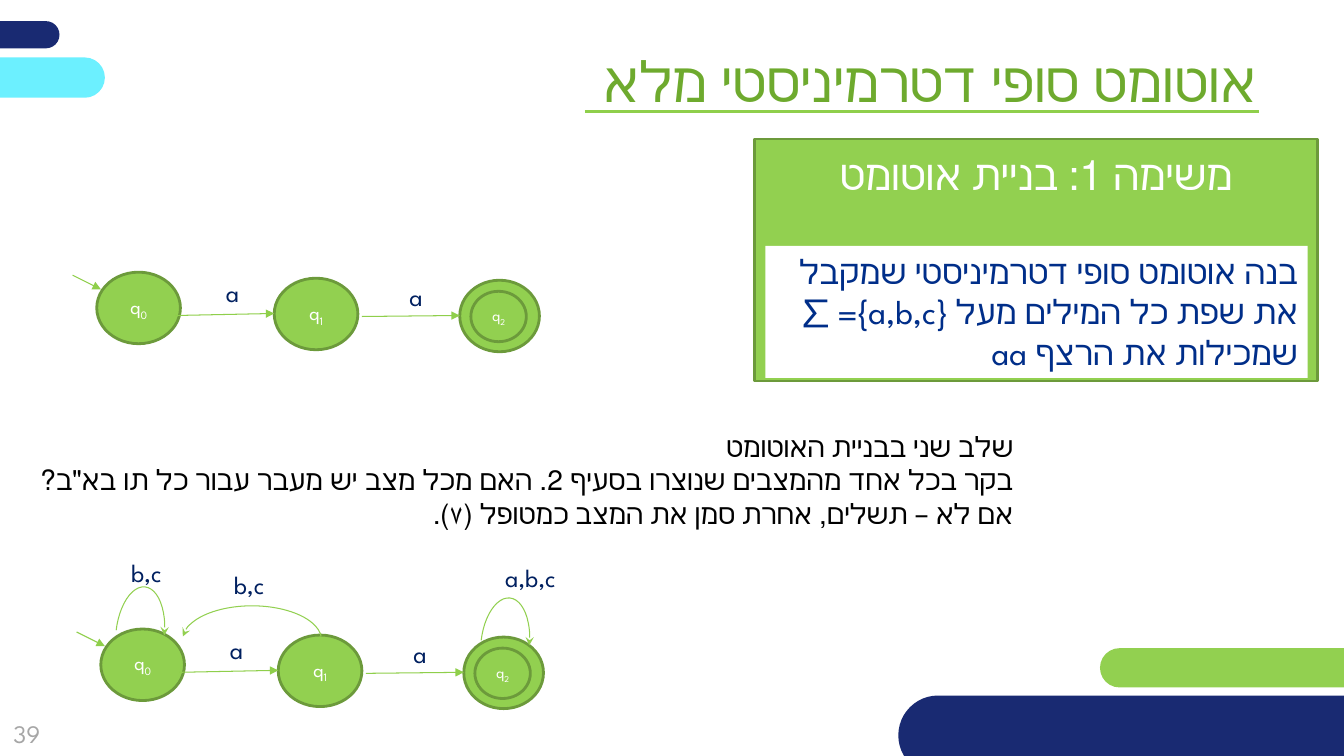
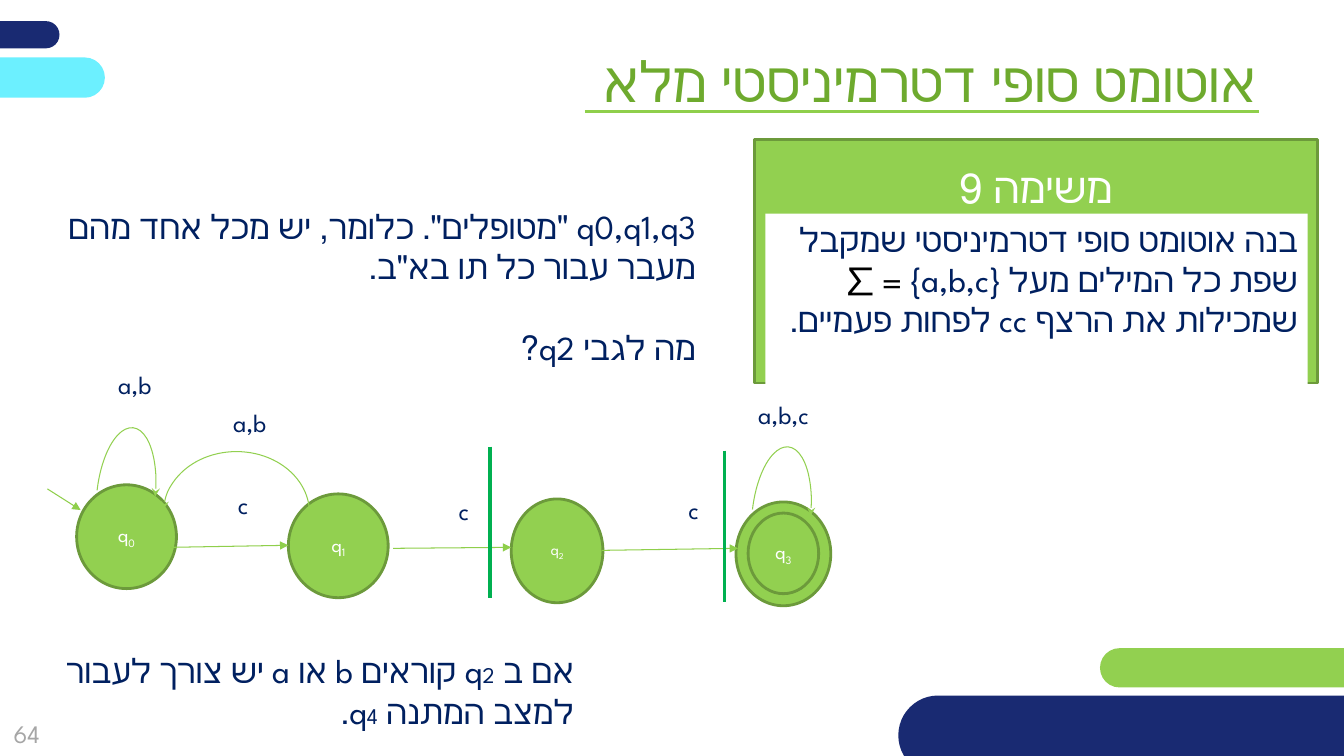
from dataclasses import dataclass

from pptx import Presentation
from pptx.dml.color import RGBColor
from pptx.enum.shapes import MSO_CONNECTOR, MSO_SHAPE
from pptx.enum.text import MSO_ANCHOR, PP_ALIGN
from pptx.oxml.xmlchemy import OxmlElement
from pptx.util import Inches, Pt

STRAIGHT = MSO_CONNECTOR.STRAIGHT
RECTANGLE, ROUNDED = MSO_SHAPE.RECTANGLE, MSO_SHAPE.ROUNDED_RECTANGLE
OVAL, ARC = MSO_SHAPE.OVAL, MSO_SHAPE.ARC
TOP, MIDDLE = MSO_ANCHOR.TOP, MSO_ANCHOR.MIDDLE
CENTER, RIGHT, JUSTIFY = PP_ALIGN.CENTER, PP_ALIGN.RIGHT, PP_ALIGN.JUSTIFY


@dataclass(frozen=True)
class Theme:
    font: str = "League Spartan"
    navy: str = "192A72"
    cyan: str = "6CF0FF"
    green: str = "92D050"
    border: str = "6C9A3B"
    rule: str = "8FCF4B"
    divider: str = "00B050"
    title: str = "6EAA2E"
    text: str = "002060"
    task: str = "002E89"
    grey: str = "A6A6A6"
    white: str = "FFFFFF"
    black: str = "000000"
    title_size: int = 40
    heading_size: int = 30
    body_size: int = 24
    step_size: int = 20
    label_size: int = 18
    index_size: int = 16
    state_size: int = 14
    small_state_size: int = 11


theme = Theme()


def write(shape, paragraphs, size, color, alignment=RIGHT, anchor=TOP, gap=0, rtl=True, **frame_format):
    """Fill a shape with paragraphs, each a list of (text, overrides) runs."""
    frame = shape.text_frame
    frame_format = {"word_wrap": True, "vertical_anchor": anchor, **frame_format}
    for name, value in frame_format.items():
        setattr(frame, name, value)
    for number, runs in enumerate(paragraphs):
        paragraph = frame.add_paragraph() if number else frame.paragraphs[0]
        paragraph.alignment = alignment
        if rtl:
            paragraph._p.get_or_add_pPr().set("rtl", "1")
        if number and gap:
            paragraph.space_before = Pt(gap)
        for text, overrides in runs:
            run = paragraph.add_run()
            run.text = text
            run_format = {"size": size, "color": color, **overrides}
            run.font.name = theme.font
            run.font.size = Pt(run_format["size"])
            run.font.color.rgb = RGBColor.from_string(run_format["color"])
            if "baseline" in run_format:
                run._r.get_or_add_rPr().set("baseline", run_format["baseline"])


def outline(shape, color=None, width=0.75, end=None, kind="triangle"):
    """Set the line of a shape or connector, add an arrowhead, drop the shadow."""
    if color is None:
        shape.line.fill.background()
    else:
        shape.line.color.rgb = RGBColor.from_string(color)
        shape.line.width = Pt(width)
    if end:
        arrowhead = OxmlElement(f"a:{end}")
        arrowhead.set("type", kind)
        shape.line._get_or_add_ln().append(arrowhead)
    shape._element.spPr.append(OxmlElement("a:effectLst"))


# Shared parts: left, top, width, height, colour
bands = [
    (-2.66, 0.21, 3.25, 0.27, theme.navy),
    (10.91, 6.43, 5.21, 0.39, theme.green),
    (-2.21, 0.57, 3.25, 0.4, theme.cyan),
    (8.91, 6.9, 5.66, 0.79, theme.navy),
]
title_text = "אוטומט סופי דטרמיניסטי מלא"

# The three-state automaton, drawn twice on the first slide
small_states = [
    ((0.96, 2.7, 0.83, 0.71), "0", theme.state_size),
    ((2.72, 2.76, 0.83, 0.71), "1", theme.state_size),
    ((4.56, 2.78, 0.79, 0.71), "", theme.state_size),
    ((4.67, 2.89, 0.55, 0.5), "2", theme.small_state_size),
]
small_arrows = [
    (0.72, 2.73, 1, 2.87),
    (1.74, 3.13, 2.72, 3.11),
    (3.59, 3.14, 4.56, 3.13),
]
small_labels = [("a", (3.77, 2.74, 0.52, 0.4)), ("a", (2.08, 2.7, 0.39, 0.4))]
copies = [(0, 0), (0.04, 3.54)]

# Arcs hold the box of the whole ellipse, its rotation and the arrow end
slides = [
    {
        "number": "39",
        "heading": "משימה 1: בניית אוטומט",
        "heading_box": (7.48, 1.38, 5.59, 2.4),
        "heading_inset": 0.09,
        "task_box": (7.59, 2.44, 5.38, 1.31),
        "task": [("בנה אוטומט סופי דטרמיניסטי שמקבל את שפת כל המילים מעל "
                  "{a,b,c}= ∑ שמכילות את הרצף aa", {"color": theme.task})],
        "notes": [
            {
                "box": (0.3, 4.21, 9.85, 1.11),
                "size": theme.step_size,
                "color": theme.black,
                "alignment": JUSTIFY,
                "paragraphs": [
                    [("שלב שני בבניית האוטומט", {})],
                    [("בקר בכל אחד מהמצבים שנוצרו בסעיף 2. האם מכל מצב יש מעבר "
                      "עבור כל תו בא\"ב? אם לא – תשלים, אחרת סמן את המצב "
                      "כמטופל (٧).", {})],
                ],
            },
        ],
        "copies": copies,
        "states": small_states,
        "arrows": small_arrows,
        "repeated_labels": small_labels,
        "labels": [
            ("b,c", (1.03, 5.48, 0.67, 0.4)),
            ("b,c", (2.05, 5.6, 0.67, 0.4)),
            ("a,b,c", (4.63, 5.53, 0.98, 0.4)),
        ],
        "arcs": [
            ((1.15, 5.82, 0.48, 0.94), 6, "tailEnd"),
            ((1.81, 6.01, 1.38, 0.68), 0, "headEnd"),
            ((4.77, 5.93, 0.48, 0.92), 6, "tailEnd"),
        ],
        "dividers": [],
    },
    {
        "number": "64",
        "heading": "משימה 9",
        "heading_box": (7.48, 1.38, 5.59, 2.42),
        "heading_inset": 0.22,
        "task_box": (7.59, 2.12, 5.38, 1.72),
        "task": [
            ("בנה אוטומט סופי דטרמיניסטי שמקבל שפת כל המילים מעל {a,b,c} ", {}),
            ("= ∑ ", {"color": theme.black}),
            ("שמכילות את הרצף cc לפחות פעמיים.", {}),
        ],
        "notes": [
            {
                "box": (0.36, 1.99, 6.64, 2.05),
                "gap": 29,
                "paragraphs": [
                    [("q0,q1,q3 \"מטופלים\". כלומר, יש מכל אחד מהם מעבר עבור "
                      "כל תו בא\"ב.", {})],
                    [("מה לגבי q2?", {})],
                ],
            },
            {
                "box": (0.13, 6.4, 5.66, 0.91),
                "paragraphs": [[
                    ("אם ב q", {}),
                    ("2", {"size": theme.index_size}),
                    (" קוראים b או a יש צורך לעבור למצב המתנה q", {}),
                    ("4", {"size": theme.index_size}),
                    (".", {}),
                ]],
            },
        ],
        "copies": copies[:1],
        "states": [
            ((7.3, 4.98, 0.94, 1.03), "", theme.state_size),
            ((0.76, 4.81, 0.99, 1.03), "0", theme.state_size),
            ((2.86, 4.9, 0.99, 1.03), "1", theme.state_size),
            ((5.07, 4.95, 0.91, 1.03), "2", theme.small_state_size),
            ((7.42, 5.09, 0.7, 0.8), "3", theme.state_size),
        ],
        "arrows": [
            (0.47, 4.85, 0.8, 5.06),
            (1.69, 5.43, 2.86, 5.41),
            (3.9, 5.44, 5.07, 5.43),
            (5.97, 5.46, 7.32, 5.44),
        ],
        "repeated_labels": [],
        "labels": [
            ("c", (2.09, 4.81, 0.47, 0.58)),
            ("c", (4.12, 4.86, 0.63, 0.58)),
            ("c", (6.27, 4.85, 0.76, 0.58)),
            ("a,b", (0.22, 3.61, 1.38, 0.58)),
            ("a,b", (1.36, 3.99, 1.38, 0.58)),
            ("a,b,c", (6.74, 3.91, 1.38, 0.58)),
        ],
        "arcs": [
            ((0.96, 4.24, 0.58, 1.34), 6, "tailEnd"),
            ((1.62, 4.48, 1.45, 1.22), 0, "headEnd"),
            ((7.46, 4.43, 0.58, 1.34), 6, "tailEnd"),
        ],
        "dividers": [(4.86, 4.43, 4.86, 5.93), (7.19, 4.47, 7.19, 5.97)],
    },
]

presentation = Presentation()
presentation.slide_width = Inches(13.33)
presentation.slide_height = Inches(7.5)
layout = presentation.slide_layouts[5]

for position, content in enumerate(slides):
    slide = presentation.slides.add_slide(layout)
    shapes = slide.shapes

    # Bands and title rule go to the layout once
    if position == 0:
        shared = []
        for *box, color in bands:
            band = shapes.add_shape(ROUNDED, *map(Inches, box))
            band.adjustments[0] = 0.5
            band.fill.solid()
            band.fill.fore_color.rgb = RGBColor.from_string(color)
            outline(band)
            shared.append(band)
        title_rule = shapes.add_connector(STRAIGHT, *map(Inches, (5.8, 1.11, 12.49, 1.11)))
        outline(title_rule, theme.rule, 2.25)
        shared.append(title_rule)
        for shape in shared:
            layout.shapes._spTree.append(shape._element)

    # Title and page number
    title = shapes.title
    title.left, title.top, title.width, title.height = map(Inches, (4.4, 0.41, 8.16, 0.77))
    write(title, [[(title_text, {})]], theme.title_size, theme.title)
    page_number = shapes.add_textbox(*map(Inches, (-0.18, 6.99, 0.89, 0.57)))
    write(page_number, [[(content["number"], {})]], theme.label_size, theme.grey,
          CENTER, MIDDLE, rtl=False)

    # Task card
    card = shapes.add_shape(RECTANGLE, *map(Inches, content["heading_box"]))
    card.fill.solid()
    card.fill.fore_color.rgb = RGBColor.from_string(theme.green)
    outline(card, theme.border, 2)
    write(card, [[(content["heading"], {})]], theme.heading_size, theme.white,
          CENTER, margin_top=Inches(content["heading_inset"]))
    task = shapes.add_shape(RECTANGLE, *map(Inches, content["task_box"]))
    task.fill.solid()
    task.fill.fore_color.rgb = RGBColor.from_string(theme.white)
    outline(task)
    write(task, [content["task"]], theme.body_size, theme.text)

    # Explanations
    for note in content["notes"]:
        note_format = {"size": theme.body_size, "color": theme.text, **note}
        box = note_format.pop("box")
        write(shapes.add_textbox(*map(Inches, box)), **note_format)

    # Automaton: states, arrows and labels
    labels = list(content["labels"])
    for right, down in content["copies"]:
        for (left, top, width, height), index, size in content["states"]:
            state = shapes.add_shape(
                OVAL, *map(Inches, (left + right, top + down, width, height)))
            state.fill.solid()
            state.fill.fore_color.rgb = RGBColor.from_string(theme.green)
            outline(state, theme.border, 2)
            if index:
                write(state, [[("q", {}), (index, {"baseline": "-25000"})]], size, theme.white,
                      CENTER, MIDDLE, word_wrap=False, margin_left=0, margin_right=0)
        for x1, y1, x2, y2 in content["arrows"]:
            arrow = shapes.add_connector(
                STRAIGHT, *map(Inches, (x1 + right, y1 + down, x2 + right, y2 + down)))
            outline(arrow, theme.rule, end="tailEnd")
        for text, (left, top, width, height) in content["repeated_labels"]:
            labels.append((text, (left + right, top + down, width, height)))
    for text, box in labels:
        write(shapes.add_textbox(*map(Inches, box)), [[(text, {})]], theme.label_size, theme.text)

    # Dividers, loops and return arcs
    for ends in content["dividers"]:
        outline(shapes.add_connector(STRAIGHT, *map(Inches, ends)), theme.divider, 2.25)
    for box, rotation, end in content["arcs"]:
        arc = shapes.add_shape(ARC, *map(Inches, box))
        arc.rotation = rotation
        # Angles are stored in 60000ths of a degree, adjustments in 100000ths
        for number, angle in enumerate((-177, -3)):
            arc.adjustments[number] = angle % 360 * 0.6
        arc.fill.background()
        outline(arc, theme.green, end=end, kind="stealth")

presentation.save("out.pptx")
